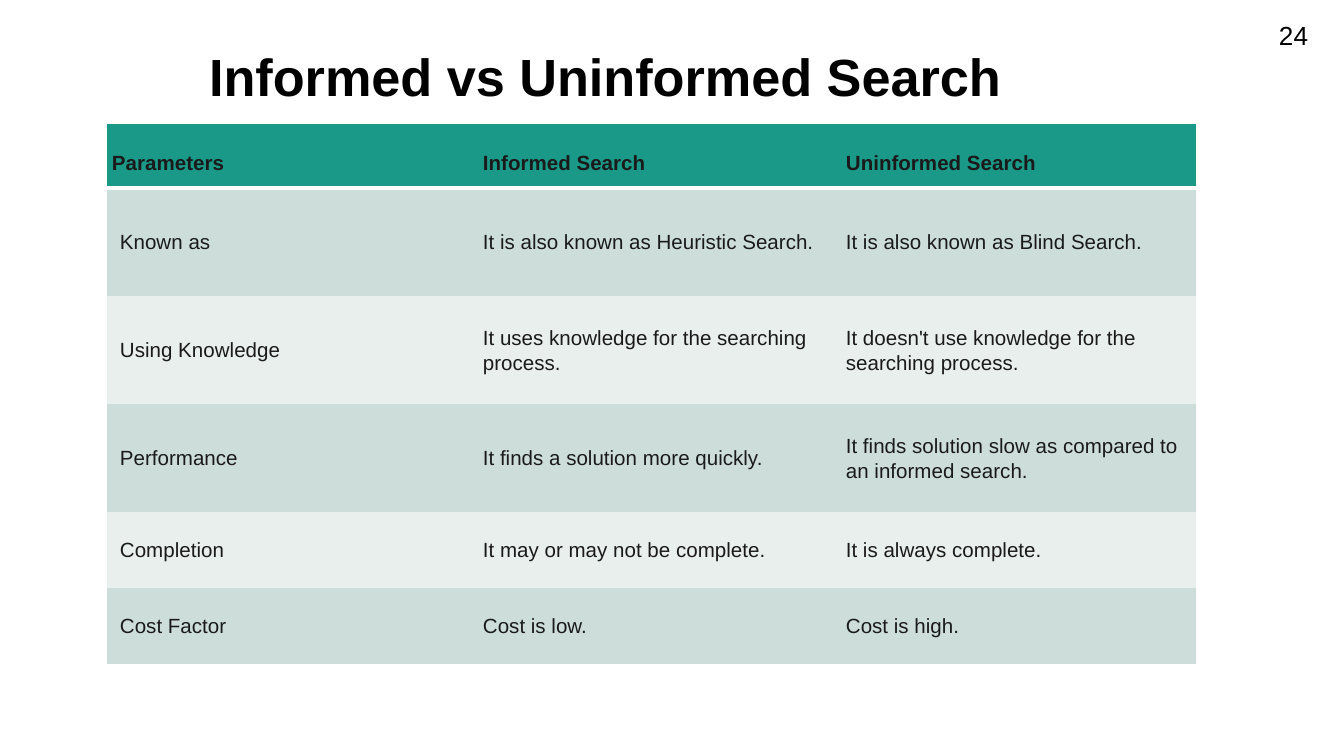
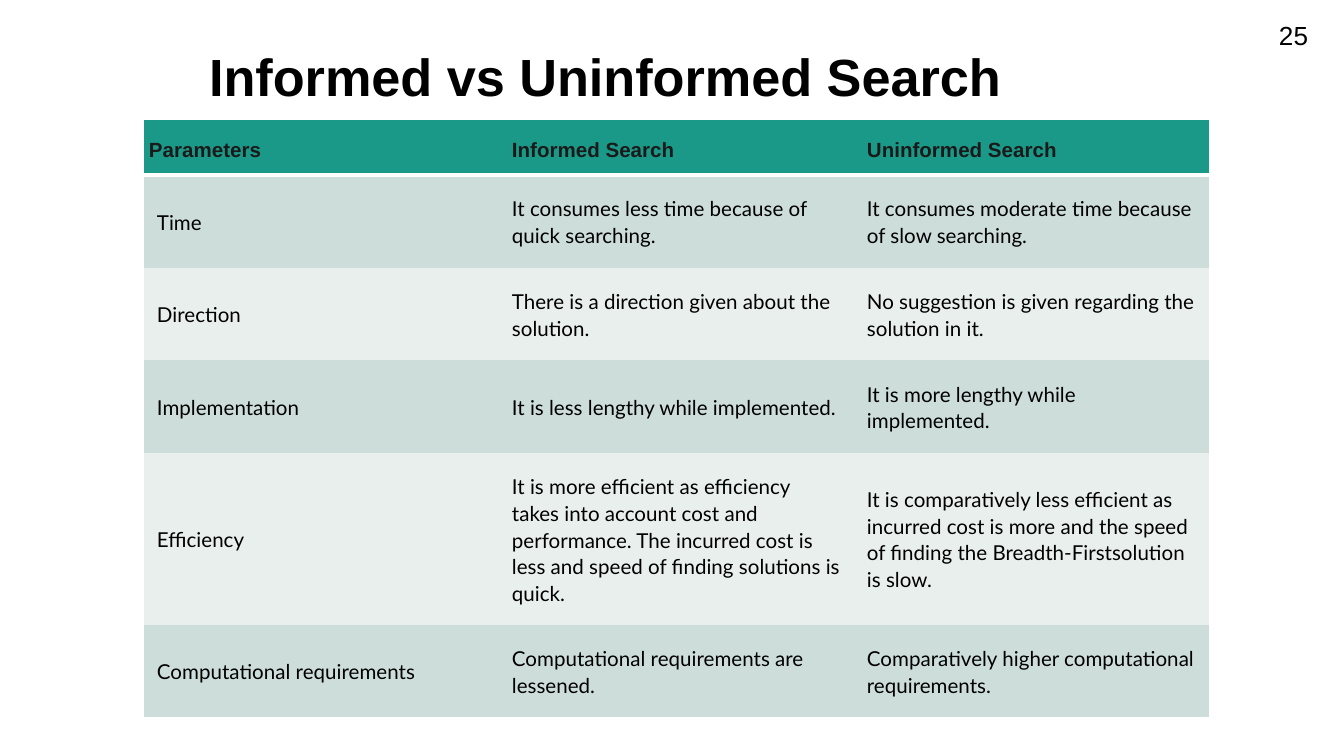
"""Build two slides that compare informed and uninformed search."""
import pptx
import pptx.dml.color
import pptx.enum.text
import pptx.oxml
import pptx.oxml.ns
import pptx.util

TITLE = "Informed vs Uninformed Search"
HEAD = ("Parameters", "Informed Search", "Uninformed Search")
SLIDES = [
    dict(page="24", left=107, top=124, wide=363, tall=(64, 108, 108, 108, 76, 76),
         font="Arial", ink="dark", rows=[
             ("Known as", "It is also known as Heuristic Search.",
              "It is also known as Blind Search."),
             ("Using Knowledge", "It uses knowledge for the searching process.",
              "It doesn't use knowledge for the searching process."),
             ("Performance", "It finds a solution more quickly.",
              "It finds solution slow as compared to an informed search."),
             ("Completion", "It may or may not be complete.",
              "It is always complete."),
             ("Cost Factor", "Cost is low.", "Cost is high."),
         ]),
    dict(page="25", left=144, top=120, wide=355, tall=(55,) * 6,
         font="Lato", ink="black", rows=[
             ("Time", "It consumes less time because of quick searching.",
              "It consumes moderate time because of slow searching."),
             ("Direction", "There is a direction given about the solution.",
              "No suggestion is given regarding the solution in it."),
             ("Implementation", "It is less lengthy while implemented.",
              "It is more lengthy while implemented."),
             ("Efficiency",
              "It is more efficient as efficiency takes into account cost and "
              "performance. The incurred cost is less and speed of finding "
              "solutions is quick.",
              "It is comparatively less efficient as incurred cost is more and "
              "the speed of finding the Breadth-Firstsolution is slow."),
             ("Computational requirements",
              "Computational requirements are lessened.",
              "Comparatively higher computational requirements."),
         ]),
]
COLORS = dict(black="000000", dark="1A1A1A", white="FFFFFF",
              head="1A9988", odd="CDDEDA", even="E8EFED")
PLAIN = "{2D5ABB26-0587-4C30-8999-92F81FD0307C}"
ANCHOR = pptx.enum.text.MSO_ANCHOR
ALIGN = pptx.enum.text.PP_ALIGN


def px(num):
    return pptx.util.Emu(round(num * 914400 / 134.4))


def color(name):
    return pptx.dml.color.RGBColor.from_string(COLORS[name])


def write(par, text, size, font="Arial", ink="black", bold=False):
    run = par.add_run()
    run.text = text
    run.font.size = pptx.util.Pt(size)
    run.font.name = font
    run.font.bold = bold
    run.font.color.rgb = color(ink)


def label(slide, text, area, inset, size, bold=False, wrap=True, align=ALIGN.LEFT):
    frame = slide.shapes.add_textbox(*map(px, area)).text_frame
    frame.word_wrap = wrap
    frame.margin_left = frame.margin_right = px(13)
    frame.margin_top = frame.margin_bottom = px(inset)
    par = frame.paragraphs[0]
    par.alignment = align
    write(par, text, size, bold=bold)


def rule(cell):
    line = pptx.oxml.parse_xml(
        f'<a:lnB {pptx.oxml.ns.nsdecls("a")} w="{pptx.util.Pt(2)}"><a:solidFill>'
        f'<a:srgbClr val="{COLORS["white"]}"/></a:solidFill></a:lnB>')
    cell._tc.get_or_add_tcPr().insert(0, line)


def fill(cell, text, row, col, data):
    top = row == 0
    cell.fill.solid()
    cell.fill.fore_color.rgb = color("head" if top else ("even", "odd")[row % 2])
    cell.margin_left = cell.margin_right = px(5 if top and col == 0 else 13)
    cell.margin_top = cell.margin_bottom = px(13 if top else 20)
    cell.vertical_anchor = ANCHOR.BOTTOM if top else ANCHOR.MIDDLE
    par = cell.text_frame.paragraphs[0]
    par.line_spacing = 1.07
    par.space_after = pptx.util.Pt(8)
    if top:
        write(par, text, 11, ink="dark", bold=True)
        rule(cell)
    else:
        write(par, text, 11, data["font"], data["ink"])


def grid(slide, data):
    rows = [HEAD] + data["rows"]
    area = data["left"], data["top"], data["wide"] * len(HEAD), sum(data["tall"])
    table = slide.shapes.add_table(len(rows), len(HEAD), *map(px, area)).table
    table.horz_banding = False
    table._tbl.tblPr.find(pptx.oxml.ns.qn("a:tableStyleId")).text = PLAIN
    for col in table.columns:
        col.width = px(data["wide"])
    for row, texts in enumerate(rows):
        table.rows[row].height = px(data["tall"][row])
        for col, text in enumerate(texts):
            fill(table.cell(row, col), text, row, col, data)


def main():
    deck = pptx.Presentation()
    deck.slide_width, deck.slide_height = px(1344), px(756)
    for data in SLIDES:
        slide = deck.slides.add_slide(deck.slide_layouts[6])
        label(slide, TITLE, (0, 31, 1210, 126), 13, 28, bold=True, align=ALIGN.CENTER)
        label(slide, data["page"], (1266, 12, 56, 46), 7, 14, wrap=False)
        grid(slide, data)
    deck.save("out.pptx")


if __name__ == "__main__":
    main()
